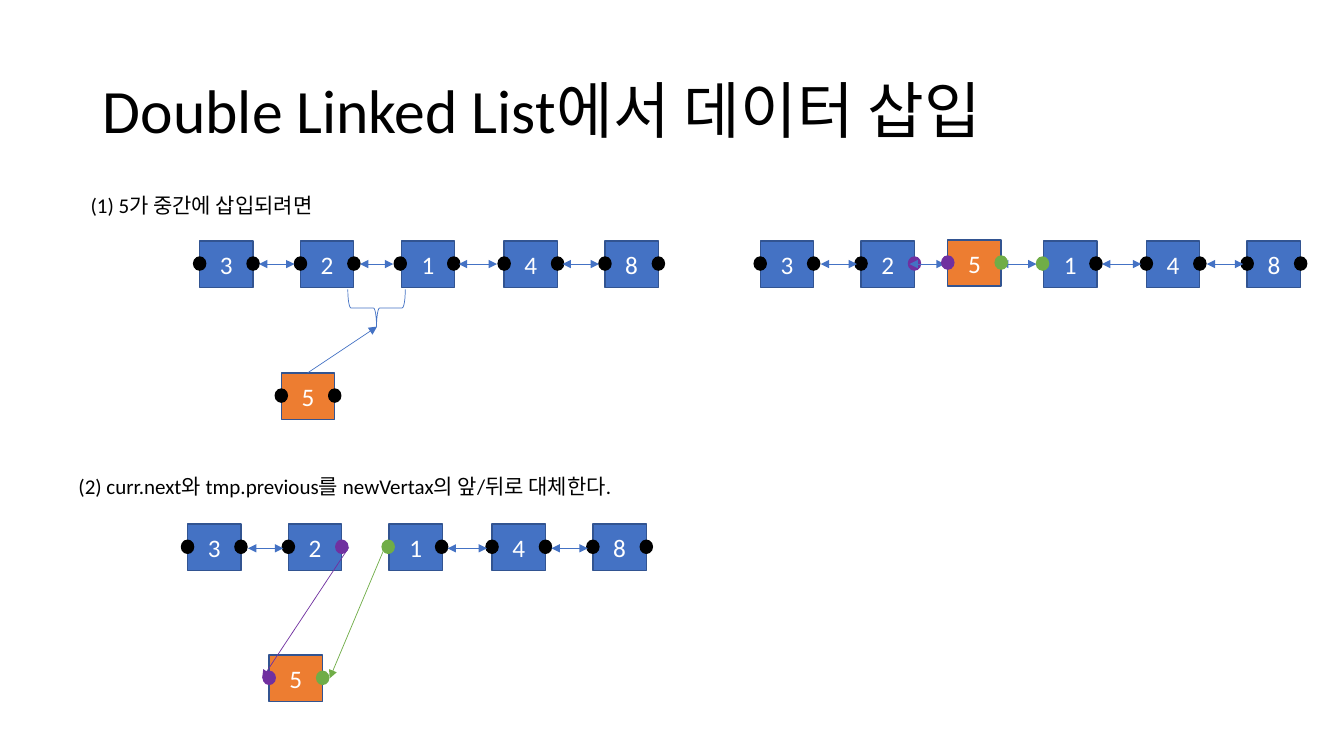
import pptx
import pptx.util
import pptx.dml.color
import pptx.enum.shapes
import pptx.enum.text
import pptx.oxml

Inches, Pt = pptx.util.Inches, pptx.util.Pt
RGB = pptx.dml.color.RGBColor.from_string
SHAPE = pptx.enum.shapes.MSO_SHAPE
ALIGN = pptx.enum.text.PP_ALIGN
ANCHOR = pptx.enum.text.MSO_ANCHOR
COLORS = {"node": "4472C4", "new": "ED7D31", "edge": "325491", "black": "000000",
          "white": "FFFFFF", "purple": "7030A0", "green": "70AD47"}
NODE_W, NODE_H = 0.53, 0.46
DOT_W, DOT_H, DOT_DROP = 0.12, 0.13, 0.16

deck = pptx.Presentation()
deck.slide_width, deck.slide_height = Inches(13.33), Inches(7.5)
slide = deck.slides.add_slide(deck.slide_layouts[5])
shapes = slide.shapes


def add_filled(kind, left, top, width, height, fill, edge):
    shape = shapes.add_shape(kind, Inches(left), Inches(top), Inches(width), Inches(height))
    shape.shadow.inherit = False
    shape.fill.solid()
    shape.fill.fore_color.rgb = RGB(COLORS[fill])
    shape.line.color.rgb = RGB(COLORS[edge])
    shape.line.width = Pt(1)
    return shape


def add_node(value, left, top, fill="node", left_dot="black", right_dot="black", shift=-0.06):
    box = add_filled(SHAPE.RECTANGLE, left, top, NODE_W, NODE_H, fill, "edge")
    box.text_frame.vertical_anchor = ANCHOR.MIDDLE
    label = box.text_frame.paragraphs[0]
    label.text = value
    label.alignment = ALIGN.CENTER
    for key, setting in {"name": "Calibri", "size": Pt(18)}.items():
        setattr(label.font, key, setting)
    label.font.color.rgb = RGB(COLORS["white"])
    for dot_left, color in ((left + shift, left_dot), (left + shift + NODE_W, right_dot)):
        add_filled(SHAPE.OVAL, dot_left, top + DOT_DROP, DOT_W, DOT_H, color, color)


# Title and step captions
title = shapes.title
step_one = shapes.add_textbox(0, 0, 0, 0)
step_two = shapes.add_textbox(0, 0, 0, 0)
for holder, text, size, frame in (
    (title, "Double Linked List에서 데이터 삽입", 44, (0.92, 0.4, 11.5, 1.45)),
    (step_one, "(1) 5가 중간에 삽입되려면", 15, (0.8, 1.86, 4.08, 0.35)),
    (step_two, "(2) curr.next와 tmp.previous를 newVertax의 앞/뒤로 대체한다.", 15,
     (0.68, 4.65, 6.5, 0.35)),
):
    holder.left, holder.top, holder.width, holder.height = map(Inches, frame)
    holder.text_frame.word_wrap = True
    line = holder.text_frame.paragraphs[0]
    line.text = text
    line.alignment = ALIGN.LEFT
    for key, setting in {"name": "Calibri", "size": Pt(size)}.items():
        setattr(line.font, key, setting)
    line.font.color.rgb = RGB(COLORS["black"])
title.text_frame.auto_size = pptx.enum.text.MSO_AUTO_SIZE.NONE
title.text_frame.vertical_anchor = ANCHOR.MIDDLE
title.text_frame.paragraphs[0].line_spacing = 0.9

# The three lists: start, top, extra room for the new node, dot colours at the gap
for start, top, gap, before, after in (
    (1.98, 2.39, 0, "black", "black"),
    (1.86, 5.2, 0, "purple", "green"),
    (7.54, 2.39, 0.81, "purple", "green"),
):
    add_node("3", start, top)
    add_node("2", start + 1, top, right_dot=before)
    add_node("1", start + 2 + gap, top, left_dot=after, shift=-0.07)
    add_node("4", start + 3.02 + gap, top)
    add_node("8", start + 4.02 + gap, top)

# New node waiting below the first and second lists
add_node("5", 2.79, 3.7, "new")
add_node("5", 2.67, 6.5, "new", "purple", "green")

# Brace marking where the node goes
brace = shapes.add_shape(SHAPE.LEFT_BRACE, Inches(3.55), Inches(2.77), Inches(0.37), Inches(0.57))
brace.shadow.inherit = False
brace.rotation = 270
brace.fill.background()
brace.line.color.rgb = RGB(COLORS["node"])
brace.line.width = Pt(0.5)

# Two-way links between neighbours, then one-way insertion arrows
two_way = [(x1, y, x2, y, "node", ("headEnd", "tailEnd")) for y, spans in (
    (2.62, ((2.57, 2.92), (3.57, 3.9), (4.55, 4.93), (5.58, 5.94),
            (8.14, 8.5), (9.02, 9.37), (9.92, 10.28), (10.93, 11.32), (11.97, 12.33))),
    (5.44, ((2.46, 2.81), (4.44, 4.83), (5.47, 5.83))),
) for x1, x2 in spans]
one_way = [(3.05, 3.7, 3.74, 3.24, "node", ("tailEnd",)),
           (3.46, 5.43, 2.6, 6.73, "purple", ("tailEnd",)),
           (3.8, 5.47, 3.27, 6.73, "green", ("tailEnd",))]
for x1, y1, x2, y2, color, ends in two_way + one_way:
    link = shapes.add_connector(pptx.enum.shapes.MSO_CONNECTOR.STRAIGHT,
                                Inches(x1), Inches(y1), Inches(x2), Inches(y2))
    link.line.color.rgb = RGB(COLORS[color])
    link.line.width = Pt(0.5)
    outline = link.line._get_or_add_ln()
    for end in ends:
        arrowhead = pptx.oxml.parse_xml(
            f'<a:{end} xmlns:a="http://schemas.openxmlformats.org/drawingml/2006/main"'
            ' type="triangle"/>')
        outline.append(arrowhead)
    link._element.spPr.append(pptx.oxml.parse_xml(
        '<a:effectLst xmlns:a="http://schemas.openxmlformats.org/drawingml/2006/main"/>'))

# New node in place in the finished list, above its links
add_node("5", 9.4, 2.38, "new", "purple", "green")

deck.save("out.pptx")
